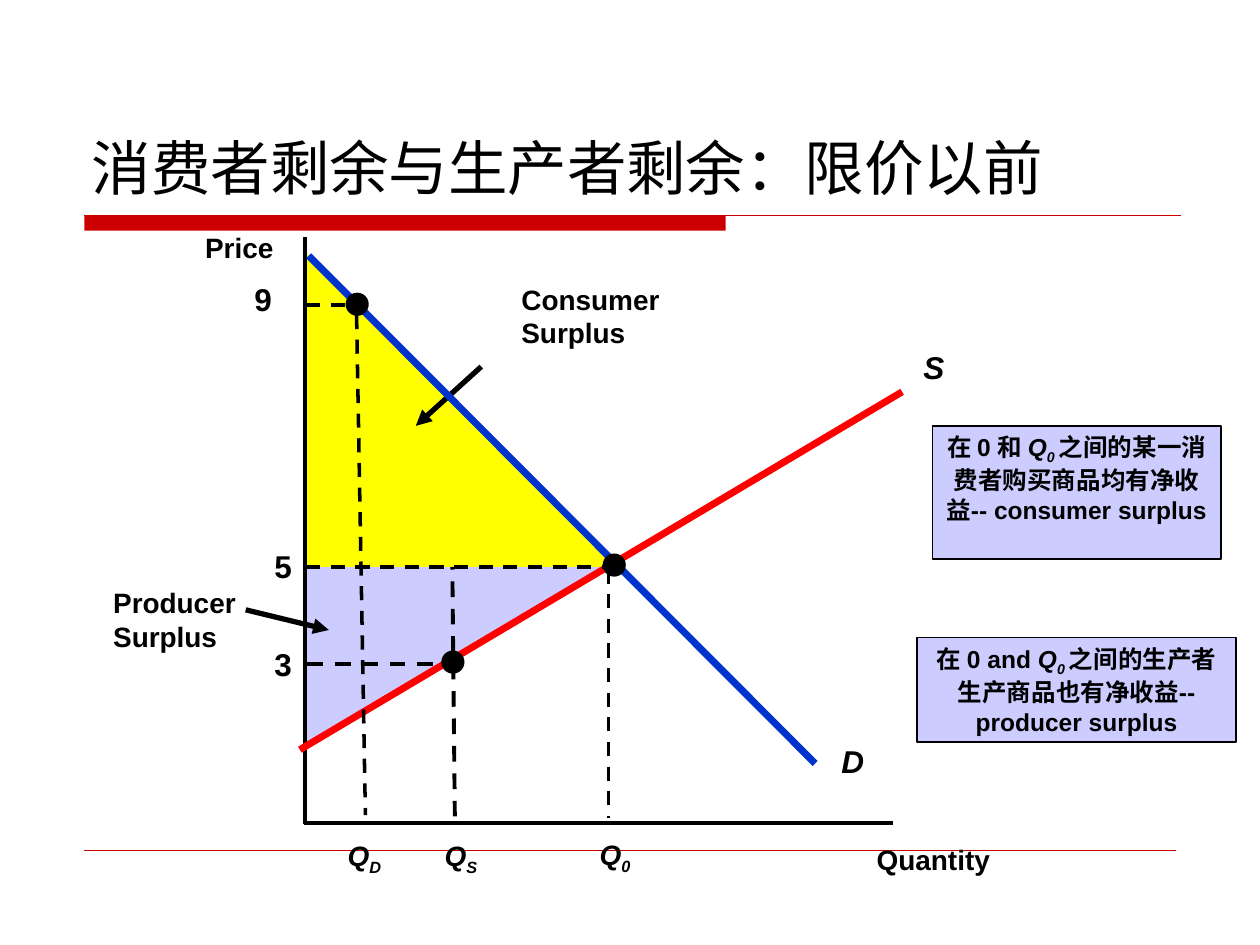
from dataclasses import dataclass

import pptx
import pptx.dml.color
import pptx.enum.dml
import pptx.enum.shapes
import pptx.enum.text
import pptx.oxml
import pptx.oxml.ns
import pptx.util

SHAPE = pptx.enum.shapes.MSO_SHAPE
ANCHOR = pptx.enum.text.MSO_ANCHOR
ALIGN = pptx.enum.text.PP_ALIGN
FIT = pptx.enum.text.MSO_AUTO_SIZE
COLS, ROWS = 100, 75  # slide grid


@dataclass(frozen=True)
class Theme:
    black: str = "000000"
    accent: str = "CC0000"
    supply: str = "FF0000"
    demand: str = "0033CC"
    consumer: str = "FFFF00"
    producer: str = "CCCCFF"
    font: str = "Arial"
    title_font: str = "DejaVu Sans"
    title: int = 34
    large: int = 18
    label: int = 16
    note: int = 14


@dataclass(frozen=True)
class Run:
    text: str
    italic: bool = False
    sub: bool = False


@dataclass(frozen=True)
class Label:
    box: tuple[float, float, float, float]
    lines: tuple[tuple[Run, ...], ...]
    size: int


@dataclass(frozen=True)
class Stroke:
    start: tuple[float, float]
    end: tuple[float, float]
    color: str = "000000"
    width: float = 2
    dashed: bool = False
    arrow: bool = False


T = Theme()
prs = pptx.Presentation()
prs.slide_width, prs.slide_height = pptx.util.Inches(10), pptx.util.Inches(7.5)
s = prs.slides.add_slide(prs.slide_layouts[6])


def x(col: float) -> int:
    return round(prs.slide_width * col / COLS)


def y(row: float) -> int:
    return round(prs.slide_height * row / ROWS)


def rgb(color: str) -> pptx.dml.color.RGBColor:
    return pptx.dml.color.RGBColor.from_string(color)


def draw_shape(kind, box, fill: str, outlined: bool = False, rotation: float = 0):
    left, top, width, height = box
    sp = s.shapes.add_shape(kind, x(left), y(top), x(width), y(height))
    sp.shadow.inherit = False
    sp.rotation = rotation
    sp.fill.solid()
    sp.fill.fore_color.rgb = rgb(fill)
    if outlined:
        sp.line.color.rgb = rgb(T.black)
        sp.line.width = pptx.util.Pt(1)
    else:
        sp.line.fill.background()
    return sp


def draw_stroke(stroke: Stroke) -> None:
    (x1, y1), (x2, y2) = stroke.start, stroke.end
    sp = s.shapes.add_connector(
        pptx.enum.shapes.MSO_CONNECTOR.STRAIGHT, x(x1), y(y1), x(x2), y(y2))
    sp.line.color.rgb = rgb(stroke.color)
    sp.line.width = pptx.util.Pt(stroke.width)
    if stroke.dashed:
        sp.line.dash_style = pptx.enum.dml.MSO_LINE.DASH
    if stroke.arrow:
        tail = pptx.oxml.ns.qn("a:tailEnd")
        sp.line._get_or_add_ln().append(sp._element.makeelement(tail, {"type": "triangle"}))
    effects = pptx.oxml.ns.qn("a:effectLst")
    sp._element.spPr.append(sp._element.makeelement(effects, {}))


def write(sp, lines, size: int, align=ALIGN.LEFT) -> None:
    tf = sp.text_frame
    tf.word_wrap = True
    tf.auto_size = FIT.NONE
    tf.vertical_anchor = ANCHOR.TOP
    for i, line in enumerate(lines):
        p = tf.add_paragraph() if i else tf.paragraphs[0]
        p.alignment = align
        p.font.name, p.font.size, p.font.bold = T.font, pptx.util.Pt(size), True
        p.font.color.rgb = rgb(T.black)
        for run in line:
            r = p.add_run()
            r.text = run.text
            if run.italic:
                r.font.italic = True
            if run.sub:
                r.font._element.set("baseline", "-25000")


def draw_label(label: Label) -> None:
    left, top, width, height = label.box
    sp = s.shapes.add_textbox(x(left), y(top), x(width), y(height))
    write(sp, label.lines, label.size)


def quantity(sub: str) -> tuple[Run, Run]:
    return Run("Q", italic=True), Run(sub, italic=True, sub=True)


# Title and rules
sp = s.shapes.add_textbox(x(6.3), y(3.3), x(87.5), y(13.3))
tf = sp.text_frame
tf.word_wrap = True
tf.vertical_anchor = ANCHOR.BOTTOM
p = tf.paragraphs[0]
p.text = "消费者剩余与生产者剩余：限价以前"
p.font.name, p.font.size = T.title_font, pptx.util.Pt(T.title)
p.font.color.rgb = rgb(T.black)
draw_shape(SHAPE.RECTANGLE, (6.7, 17.1, 50.9, 1.2), T.accent)
draw_stroke(Stroke((6.7, 17.1), (93.7, 17.1), T.accent, 1))
draw_stroke(Stroke((6.7, 67.5), (93.3, 67.5), T.accent, 0.25))

# Surplus areas
draw_shape(SHAPE.RIGHT_TRIANGLE, (29.2, 40, 14.2, 24.2), T.producer, rotation=90)
draw_shape(SHAPE.RIGHT_TRIANGLE, (24.2, 20, 25, 25), T.consumer)

# Arrows, axes, curves and guides
for stroke in (
    Stroke((38.2, 29.1), (33, 33.8), width=3, arrow=True),
    Stroke((19.5, 48.4), (26.1, 50), width=3, arrow=True),
    Stroke((24.2, 18.8), (24.2, 65.4)),
    Stroke((24.1, 65.3), (70.9, 65.3)),
    Stroke((23.8, 59.5), (71.6, 31.1), T.supply, 4),
    Stroke((24.5, 20.3), (64.7, 60.6), T.demand, 4),
    Stroke((24.3, 45), (49, 45), dashed=True),
    Stroke((48.3, 45.2), (48.3, 64.9), dashed=True),
    Stroke((28.3, 25), (29, 64.7), dashed=True),
    Stroke((24.3, 24.2), (28.2, 24.2), dashed=True),
    Stroke((24.4, 52.7), (35.6, 52.7), width=2.25, dashed=True),
    Stroke((36.1, 64.8), (35.9, 45), width=2.25, dashed=True),
):
    draw_stroke(stroke)

# Marked points
DOT = 1.7
for col, row in ((47.9, 44), (27.5, 23.3), (35.1, 51.7)):
    draw_shape(SHAPE.OVAL, (col, row, DOT, DOT), T.black, outlined=True)

# Labels
for label in (
    Label((40.4, 21.9, 13.6, 6.3), ((Run("Consumer"),), (Run("Surplus"),)), T.label),
    Label((8, 46, 12.2, 6.3), ((Run("Producer"),), (Run("Surplus"),)), T.label),
    Label((68.6, 66.4, 11.5, 3.6), ((Run("Quantity"),),), T.label),
    Label((15.3, 17.8, 8, 3.6), ((Run("Price"),),), T.label),
    Label((72.3, 27.1, 4.2, 4), ((Run("S", italic=True),),), T.large),
    Label((65.8, 58.4, 4.2, 4), ((Run("D", italic=True),),), T.large),
    Label((19.2, 21.7, 3.9, 4), ((Run("9"),),), T.large),
    Label((20.8, 42.9, 3.9, 4), ((Run("5"),),), T.large),
    Label((20.8, 50.7, 3.9, 4), ((Run("3"),),), T.large),
    Label((26.6, 66.1, 5.2, 4), (quantity("D"),), T.label),
    Label((34.3, 66.1, 5.2, 4), (quantity("S"),), T.label),
    Label((46.6, 66, 5.2, 4), (quantity("0"),), T.label),
):
    draw_label(label)

# Explanations
sp = draw_shape(SHAPE.RECTANGLE, (74, 33.8, 22.9, 10.6), T.producer, outlined=True)
write(sp, ((Run("在 0 和 "), *quantity("0 "),
            Run("之间的某一消费者购买商品均有净收益-- consumer surplus")),),
      T.note, ALIGN.CENTER)
sp = draw_shape(SHAPE.RECTANGLE, (72.8, 50.6, 25.3, 8.3), T.producer, outlined=True)
write(sp, ((Run("在 0 and "), *quantity("0 "), Run("之间的生产者")),
           (Run("生产商品也有净收益--"),), (Run("producer surplus"),)),
      T.note, ALIGN.CENTER)

prs.save("out.pptx")
